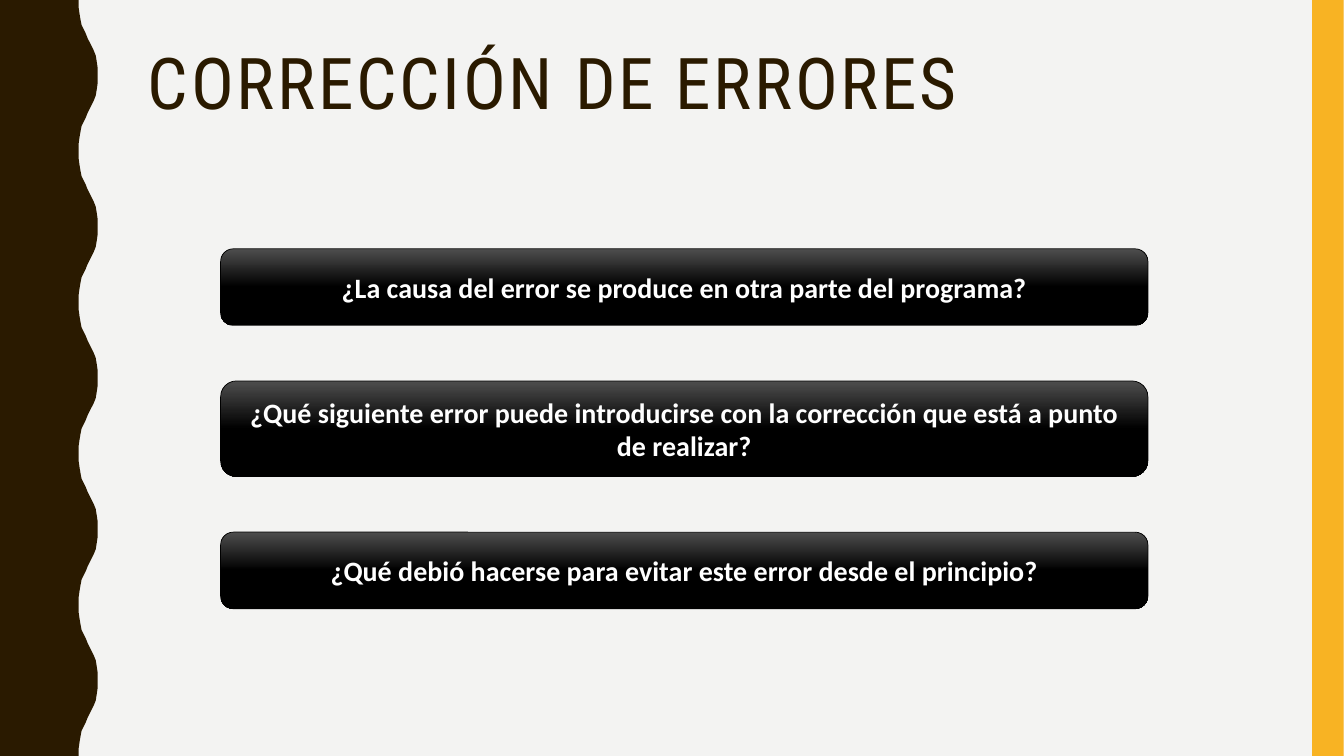
from pptx import Presentation
from pptx.dml.color import RGBColor
from pptx.enum.shapes import MSO_SHAPE as Shape
from pptx.enum.text import MSO_ANCHOR as Anchor, PP_ALIGN as Align
from pptx.util import Cm, Pt

COLOURS = {
    "background": "F3F3F2",
    "brown": "2A1A00",
    "amber": "F8B323",
    "grey": "4D4D4D",
    "black": "000000",
    "white": "FFFFFF",
}

# Question and bar height in cm
QUESTIONS = [
    ("¿La causa del error se produce en otra parte del programa?", 1.93),
    ("¿Qué siguiente error puede introducirse con la corrección "
     "que está a punto de realizar?", 2.41),
    ("¿Qué debió hacerse para evitar este error desde el principio?", 1.93),
]

# Half a wave as (x, y), in hundredths of an inch
HALF_WAVE = [(78, 0), (78, 7), (79, 14), (80, 20), (81, 25), (83, 29),
             (85, 33), (87, 38), (89, 42), (91, 46), (93, 50), (95, 55),
             (96, 61), (97, 68), (97, 75)]
WAVE_LENGTH = 150
WAVE_COUNT = 5
WAVE_UNIT = Cm(0.0254)


def colour(name):
    return RGBColor.from_string(COLOURS[name])


def paint(shape, name):
    shape.shadow.inherit = False
    shape.fill.solid()
    shape.fill.fore_color.rgb = colour(name)
    shape.line.fill.background()


def write(shape, text, *, size, font, ink, bold=False, align=Align.LEFT,
          anchor=Anchor.TOP, line_spacing=1.0, tracking=0, inset=0.25):
    frame = shape.text_frame
    frame.word_wrap = True
    frame.vertical_anchor = anchor
    frame.margin_left = frame.margin_right = Cm(inset)
    para = frame.paragraphs[0]
    para.alignment = align
    para.line_spacing = line_spacing
    span = para.add_run()
    span.text = text
    span.font.size = Pt(size)
    span.font.name = font
    span.font.bold = bold
    span.font.color.rgb = colour(ink)
    if tracking:
        span.font._element.set("spc", str(tracking * 100))


def add_wavy_edge(page):
    # The second half of each wave mirrors the first
    mirrored = [(x, WAVE_LENGTH - y) for x, y in reversed(HALF_WAVE[:-1])]
    wave = HALF_WAVE + mirrored
    points = [(x, y + index * WAVE_LENGTH)
              for index in range(WAVE_COUNT) for x, y in wave]
    builder = page.shapes.build_freeform(0, 0, scale=WAVE_UNIT)
    builder.add_line_segments(points + [(0, WAVE_COUNT * WAVE_LENGTH)])
    paint(builder.convert_to_shape(), "brown")


def add_side_band(page):
    band = page.shapes.add_shape(
        Shape.RECTANGLE, Cm(33.07), 0, Cm(0.79), Cm(19.05))
    paint(band, "amber")


def add_title(page, text):
    box = page.shapes.add_textbox(Cm(3.48), Cm(1.07), Cm(28.27), Cm(4.14))
    write(box, text, size=51, font="Roboto Condensed", ink="brown",
          line_spacing=0.9, tracking=2)


def add_question(page, text, top, height):
    bar = page.shapes.add_shape(
        Shape.ROUNDED_RECTANGLE, Cm(5.56), Cm(top), Cm(23.37), Cm(height))
    bar.shadow.inherit = False
    # Grey at the top, black from the middle down
    bar.fill.gradient()
    bar.fill.gradient_angle = 270
    for stop, (name, position) in zip(bar.fill.gradient_stops,
                                      [("grey", 0), ("black", 0.5)]):
        stop.color.rgb = colour(name)
        stop.position = position
    bar.line.color.rgb = colour("black")
    bar.line.width = Pt(0.5)
    write(bar, text, size=20, font="Calibri", ink="white", bold=True,
          align=Align.CENTER, anchor=Anchor.MIDDLE, inset=0.35)


def main():
    deck = Presentation()
    deck.slide_width, deck.slide_height = Cm(33.87), Cm(19.05)
    page = deck.slides.add_slide(deck.slide_layouts[6])
    page.background.fill.solid()
    page.background.fill.fore_color.rgb = colour("background")

    # Frame and title
    add_wavy_edge(page)
    add_side_band(page)
    add_title(page, "CORRECCIÓN DE ERRORES")

    # Stacked questions with equal gaps
    top, gap = 6.27, 1.4
    for text, height in QUESTIONS:
        add_question(page, text, top, height)
        top += height + gap

    deck.save("out.pptx")


if __name__ == "__main__":
    main()
